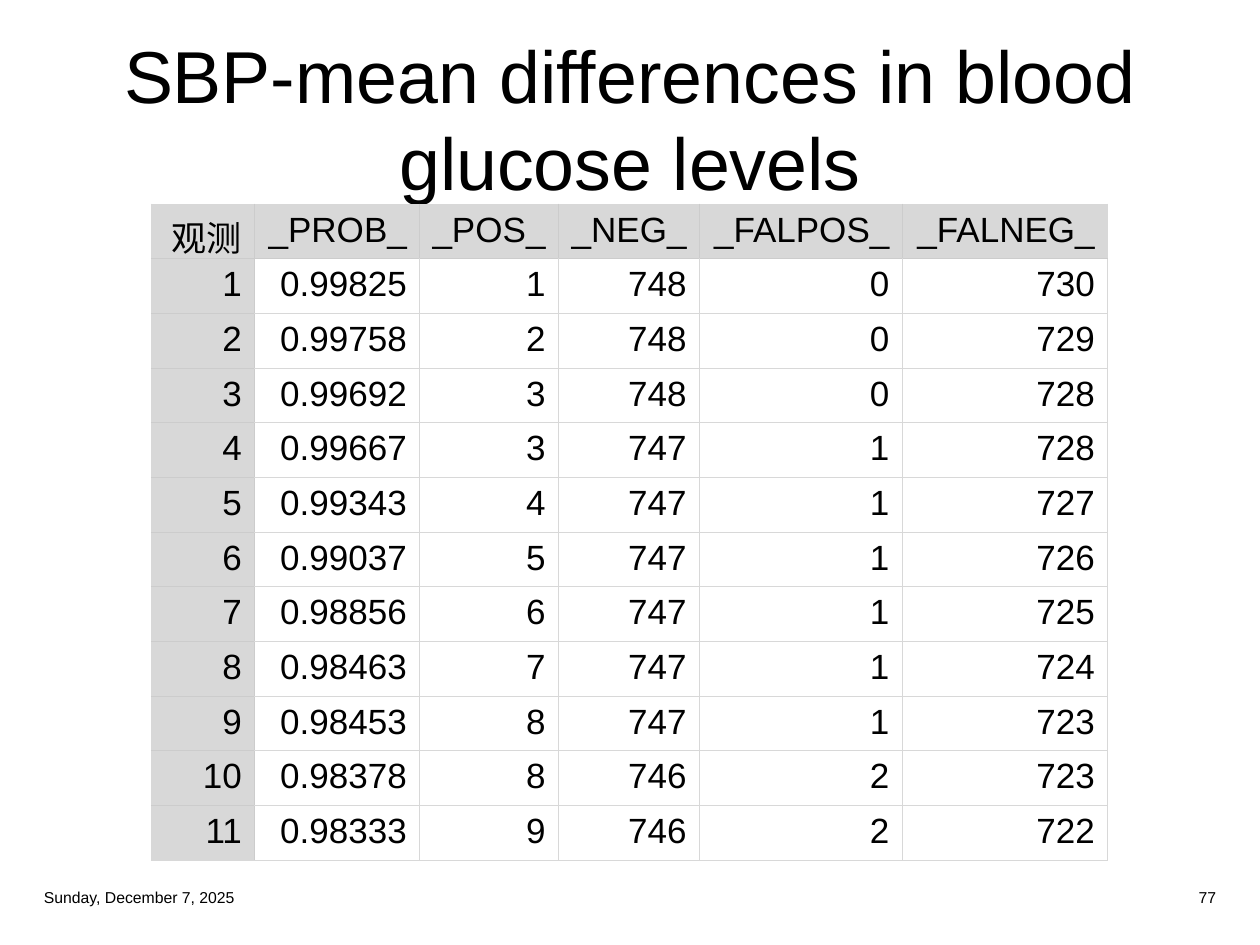
from lxml import etree
from pptx import Presentation, util as u
from pptx.dml.color import RGBColor
from pptx.enum import text
from pptx.oxml.ns import qn

FONT = "Arial"
BLACK = RGBColor(0x00, 0x00, 0x00)
HEADER_GRAY = RGBColor(0xD8, 0xD8, 0xD8)
HEADER_RULE = RGBColor(0xCC, 0xCC, 0xCC)

SLIDE_W, SLIDE_H = 10, 7.5
MARGIN = 0.25
FOOTER_TOP, FOOTER_W, FOOTER_H = 6.99, 2.38, 0.26
TABLE_LEFT, TABLE_TOP, TABLE_H = 1.2, 1.62, 5
COLUMN_WIDTHS = [0.82, 1.31, 1.1, 1.12, 1.61, 1.63]

HEADINGS = ["观测", "_PROB_", "_POS_", "_NEG_", "_FALPOS_", "_FALNEG_"]
OBSERVATIONS = [
    ("0.99825", 1, 748, 0, 730),
    ("0.99758", 2, 748, 0, 729),
    ("0.99692", 3, 748, 0, 728),
    ("0.99667", 3, 747, 1, 728),
    ("0.99343", 4, 747, 1, 727),
    ("0.99037", 5, 747, 1, 726),
    ("0.98856", 6, 747, 1, 725),
    ("0.98463", 7, 747, 1, 724),
    ("0.98453", 8, 747, 1, 723),
    ("0.98378", 8, 746, 2, 723),
    ("0.98333", 9, 746, 2, 722),
]


def style_paragraph(paragraph, size, align):
    paragraph.alignment = align
    for run in paragraph.runs:
        run.font.name = FONT
        run.font.size = u.Pt(size)
        run.font.color.rgb = BLACK


def add_label(slide, wording, left, top, width, height, size, align):
    box = slide.shapes.add_textbox(*map(u.Inches, (left, top, width, height)))
    frame = box.text_frame
    frame.word_wrap = True
    frame.vertical_anchor = text.MSO_ANCHOR.MIDDLE
    frame.text = wording
    style_paragraph(frame.paragraphs[0], size, align)
    return frame


def add_title(slide):
    frame = add_label(slide, "SBP-mean differences in blood\vglucose levels",
                      MARGIN, MARGIN, SLIDE_W - 2 * MARGIN, 1.31,
                      42, text.PP_ALIGN.CENTER)
    frame.margin_top, frame.margin_bottom = u.Inches(0.06), 0
    frame.paragraphs[0].line_spacing = u.Pt(50)


def set_borders(cell, colors):
    """Draw half-point left, right, top and bottom borders, in that order."""
    properties = cell._tc.get_or_add_tcPr()
    for position, (side, color) in enumerate(zip("LRTB", colors)):
        line = etree.Element(qn(f"a:ln{side}"), w=str(u.Pt(0.5)))
        fill = etree.SubElement(line, qn("a:solidFill"))
        etree.SubElement(fill, qn("a:srgbClr"), val=str(color))
        properties.insert(position, line)


def add_observation_table(slide):
    rows = [HEADINGS] + [(number, *values) for number, values
                         in enumerate(OBSERVATIONS, start=1)]
    last_row, last_column = len(rows) - 1, len(HEADINGS) - 1
    table = slide.shapes.add_table(
        len(rows), len(HEADINGS), u.Inches(TABLE_LEFT), u.Inches(TABLE_TOP),
        u.Inches(sum(COLUMN_WIDTHS)), u.Inches(TABLE_H)).table
    table.horz_banding = False
    table.first_col = True
    for column, width in zip(table.columns, COLUMN_WIDTHS):
        column.width = u.Inches(width)

    for r, values in enumerate(rows):
        for c, value in enumerate(values):
            cell = table.cell(r, c)
            cell.text = str(value)
            paragraph = cell.text_frame.paragraphs[0]
            style_paragraph(paragraph, 20, text.PP_ALIGN.RIGHT)
            paragraph.runs[0].font.bold = False
            in_header = r == 0 or c == 0
            if in_header:
                cell.fill.solid()
                cell.fill.fore_color.rgb = HEADER_GRAY
            else:
                cell.fill.background()
            on_edge = (c == 0, c == last_column, r == 0, r == last_row)
            beside_header = (c == 1, False, r == 1, False)
            set_borders(cell, [
                HEADER_RULE if (in_header or near) and not edge else HEADER_GRAY
                for edge, near in zip(on_edge, beside_header)])


def add_footer(slide):
    for wording, left, align in (
            ("Sunday, December 7, 2025", MARGIN, text.PP_ALIGN.LEFT),
            ("77", SLIDE_W - MARGIN - FOOTER_W, text.PP_ALIGN.RIGHT)):
        add_label(slide, wording, left, FOOTER_TOP, FOOTER_W, FOOTER_H, 9, align)


def main():
    deck = Presentation()
    deck.slide_width, deck.slide_height = u.Inches(SLIDE_W), u.Inches(SLIDE_H)
    slide = deck.slides.add_slide(deck.slide_layouts[6])
    add_title(slide)
    add_observation_table(slide)
    add_footer(slide)
    deck.save("out.pptx")


if __name__ == "__main__":
    main()
